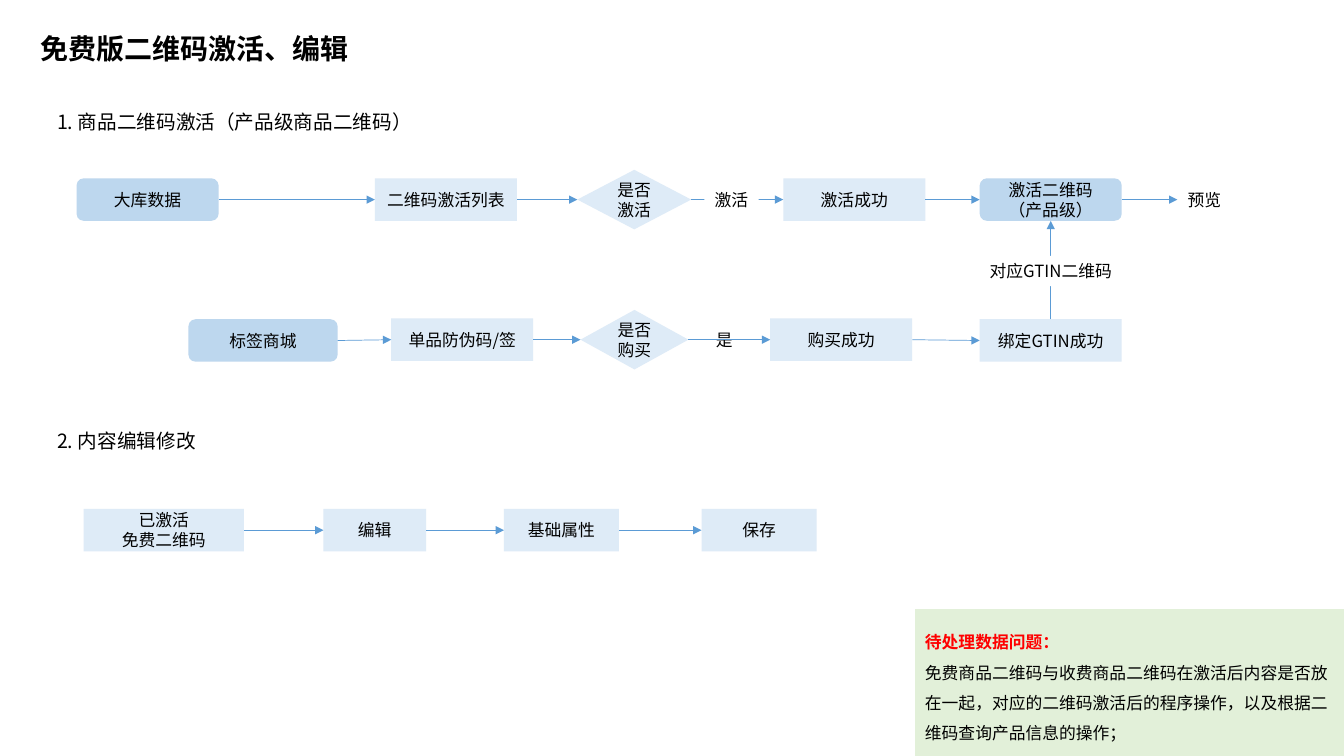
import pptx
import pptx.util
import pptx.dml.color
import pptx.enum.shapes
import pptx.enum.text
import pptx.oxml
import pptx.oxml.ns

Cm = pptx.util.Cm
Kind = pptx.enum.shapes.MSO_SHAPE
Align = pptx.enum.text.PP_ALIGN
Anchor = pptx.enum.text.MSO_ANCHOR
FONT = "Noto Sans CJK SC"
COLORS = {
    "text": "000000", "alert": "FF0000", "start": "BDD7EE", "step": "DEEBF7",
    "label": "FFFFFF", "note": "E2F0D9", "line": "5B9BD5",
}


def write(shape, text, size=12, align=Align.CENTER, anchor=Anchor.MIDDLE, wrap=True):
    """Fill the shape with text, one paragraph per line, in the slide's font."""
    frame = shape.text_frame
    frame.text = text
    frame.word_wrap = wrap
    frame.vertical_anchor = anchor
    for par in frame.paragraphs:
        par.alignment = align
        par.font.size = pptx.util.Pt(size)
        par.font.bold = False
        par.font.color.rgb = pptx.dml.color.RGBColor.from_string(COLORS["text"])
        par.font.name = FONT
        props = par._p.get_or_add_pPr().get_or_add_defRPr()
        east = pptx.oxml.parse_xml(f'<a:ea {pptx.oxml.ns.nsdecls("a")} typeface="{FONT}"/>')
        props.find(pptx.oxml.ns.qn("a:latin")).addnext(east)


def block(kind, color, left, mid, width, height):
    """Add a plain filled shape whose vertical centre is at mid."""
    shape = slide.shapes.add_shape(
        kind, Cm(left), Cm(mid - height / 2), Cm(width), Cm(height))
    shape.shadow.inherit = False
    shape.fill.solid()
    shape.fill.fore_color.rgb = pptx.dml.color.RGBColor.from_string(COLORS[color])
    shape.line.fill.background()
    return shape


deck = pptx.Presentation()
deck.slide_width = Cm(33.87)
deck.slide_height = Cm(19.05)
slide = deck.slides.add_slide(deck.slide_layouts[5])

title = slide.shapes.title
title.left, title.top, title.width, title.height = Cm(0.76), Cm(0.66), Cm(8.36), Cm(1.12)
write(title, "免费版二维码激活、编辑", 20, Align.LEFT, wrap=False)
title.text_frame.paragraphs[0].font.bold = True

for text, top, width in [
    ("1. 商品二维码激活（产品级商品二维码）", 2.64, 9.5),
    ("2. 内容编辑修改", 10.69, 4.02),
]:
    head = slide.shapes.add_textbox(Cm(1.19), Cm(top), Cm(width), Cm(0.86))
    write(head, text, 14, Align.LEFT, Anchor.TOP)

# Style: shape kind, colour, height
STYLES = {
    "start": (Kind.ROUNDED_RECTANGLE, "start", 1.07),
    "step": (Kind.RECTANGLE, "step", 1.07),
    "choice": (Kind.DIAMOND, "step", 1.5),
    "label": (Kind.RECTANGLE, "label", 0.76),
}
# Each flow lists its nodes: style, text, left, centre, width
FLOWS = [
    [
        ("start", "大库数据", 1.93, 5.03, 3.58),
        ("step", "二维码激活列表", 9.45, 5.03, 3.58),
        ("choice", "是否激活", 14.55, 5.03, 2.87),
        ("step", "激活成功", 19.74, 5.03, 3.58),
        ("start", "激活二维码\n（产品级）", 24.69, 5.03, 3.58),
        ("label", "预览", 29.67, 5.03, 1.37),
    ],
    [
        ("start", "标签商城", 4.75, 8.58, 3.76),
        ("step", "单品防伪码/签", 9.86, 8.56, 3.58),
        ("choice", "是否购买", 14.63, 8.56, 2.72),
        ("step", "购买成功", 19.41, 8.56, 3.58),
        ("step", "绑定GTIN成功", 24.69, 8.58, 3.58),
    ],
    [
        ("step", "已激活\n免费二维码", 2.11, 13.36, 4.04),
        ("step", "编辑", 8.15, 13.36, 2.59),
        ("step", "基础属性", 12.7, 13.36, 2.9),
        ("step", "保存", 17.68, 13.36, 2.9),
    ],
]

yes = block(Kind.RECTANGLE, "label", 17.78, 8.56, 0.94, 0.76)
write(yes, "是", anchor=Anchor.TOP, wrap=False)

links = []
rows = []
for flow in FLOWS:
    row = []
    for style, text, left, mid, width in flow:
        kind, color, height = STYLES[style]
        node = block(kind, color, left, mid, width, height)
        write(node, text, wrap=style != "label")
        row.append(node)
    links += [(a, 3, b, 1) for a, b in zip(row, row[1:])]
    rows.append(row)
links.append((rows[1][4], 0, rows[0][4], 2))

for first, out, last, into in links:
    arrow = slide.shapes.add_connector(pptx.enum.shapes.MSO_CONNECTOR.STRAIGHT, 0, 0, 0, 0)
    arrow.begin_connect(first, out)
    arrow.end_connect(last, into)
    arrow.line.width = pptx.util.Pt(0.5)
    arrow.line.color.rgb = pptx.dml.color.RGBColor.from_string(COLORS["line"])
    tip = pptx.oxml.parse_xml(f'<a:tailEnd {pptx.oxml.ns.nsdecls("a")} type="triangle"/>')
    arrow.line._get_or_add_ln().append(tip)
    flat = pptx.oxml.parse_xml(f'<a:effectLst {pptx.oxml.ns.nsdecls("a")}/>')
    arrow._element.spPr.append(flat)

for text, left, mid, width, wrap in [
    ("激活", 17.75, 5.03, 1.37, False),
    ("对应GTIN二维码", 24.64, 6.83, 3.68, True),
]:
    label = block(Kind.RECTANGLE, "label", left, mid, width, 0.76)
    write(label, text, anchor=Anchor.TOP, wrap=wrap)

note = block(Kind.RECTANGLE, "note", 23.06, 17.2, 10.81, 3.7)
write(
    note,
    "待处理数据问题：\n"
    "免费商品二维码与收费商品二维码在激活后内容是否放在一起，"
    "对应的二维码激活后的程序操作，以及根据二维码查询产品信息的操作；",
    align=Align.LEFT,
)
for par in note.text_frame.paragraphs:
    par.line_spacing = 1.5
lead = note.text_frame.paragraphs[0].font
lead.bold = True
lead.color.rgb = pptx.dml.color.RGBColor.from_string(COLORS["alert"])

deck.save("out.pptx")
